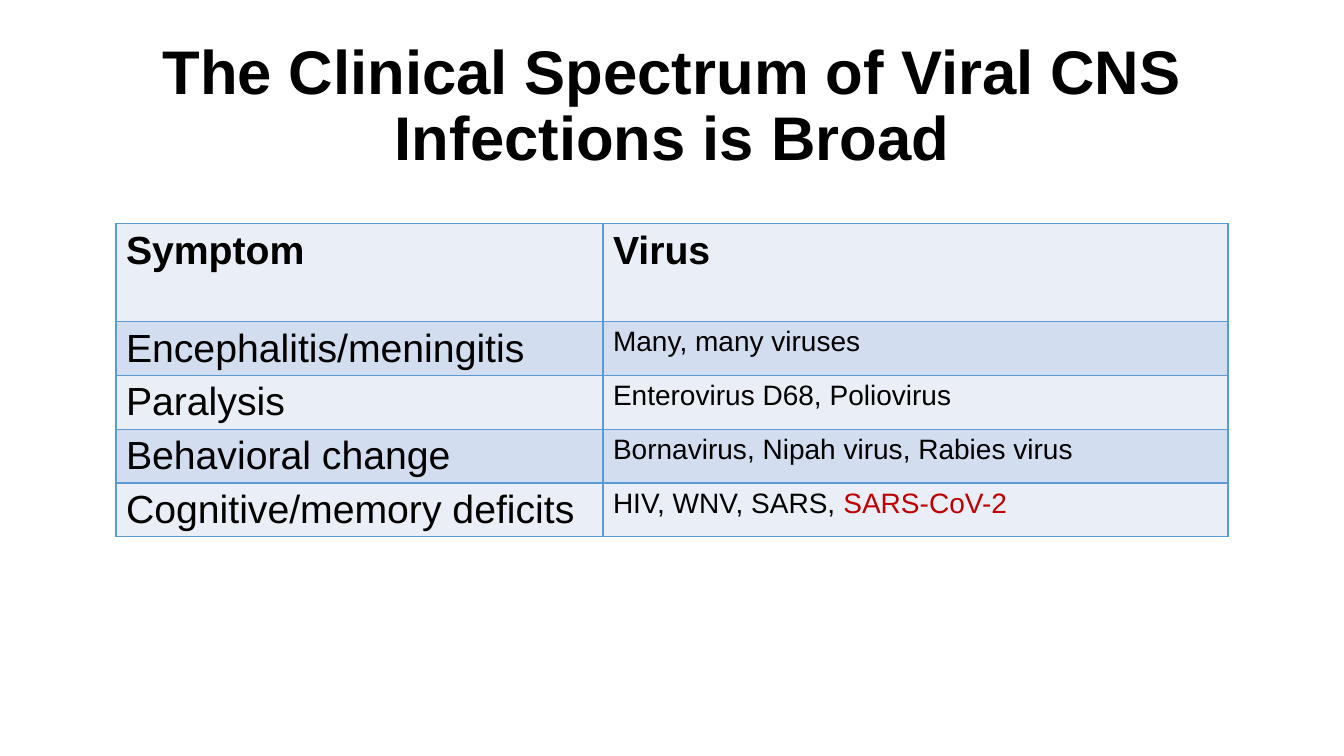
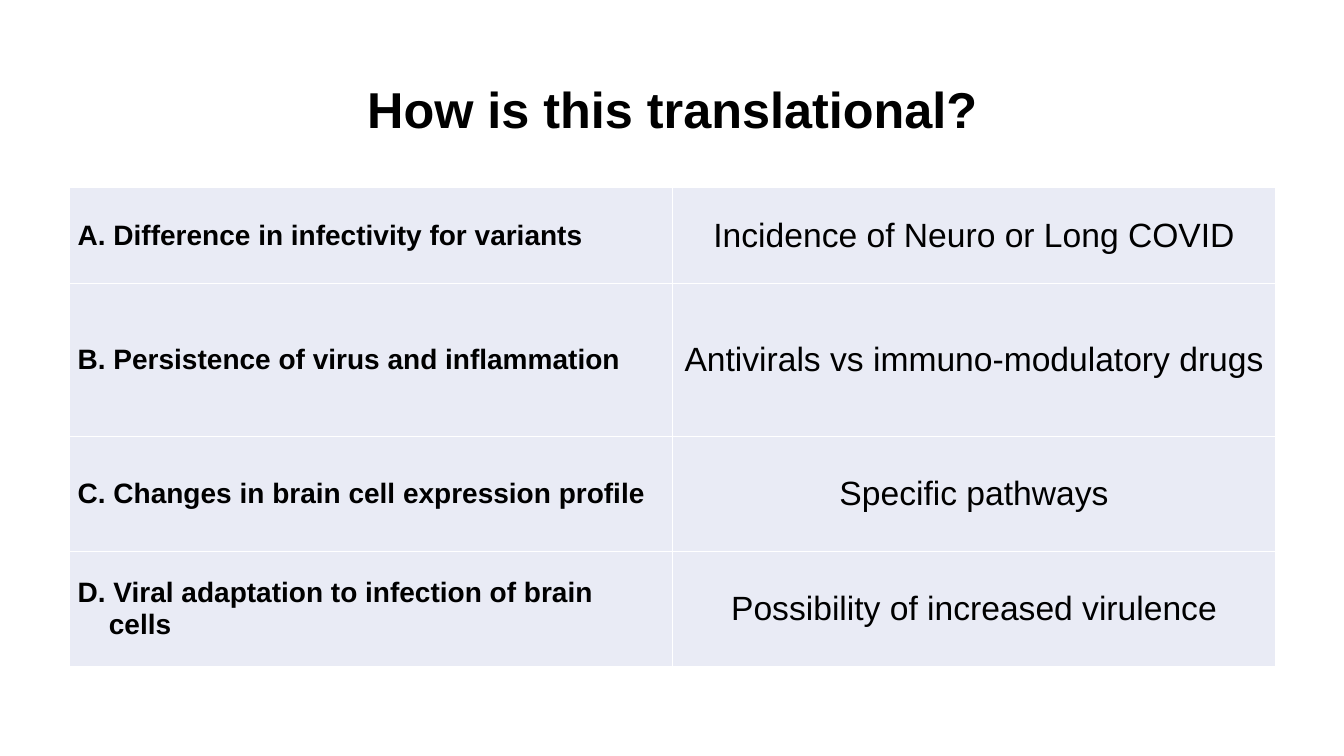
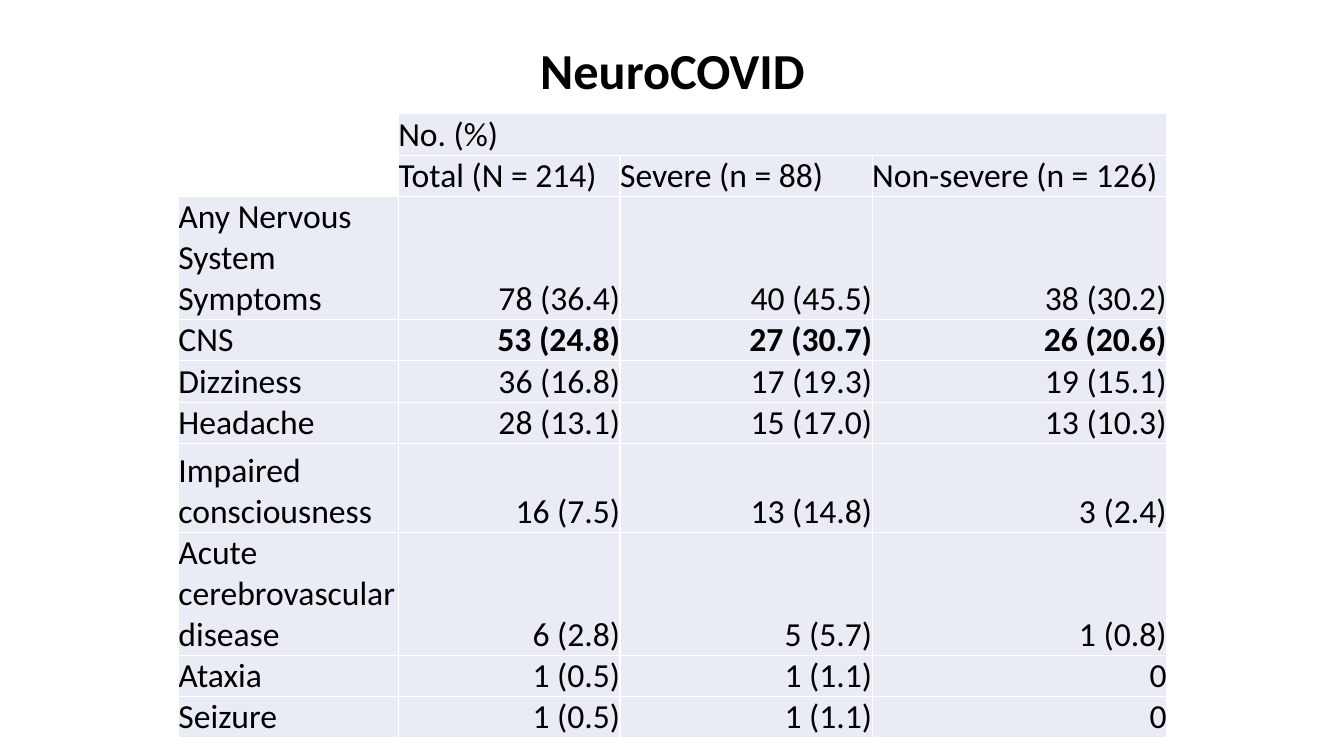
"""Build three slides of tables about viral infections of the nervous system."""
from dataclasses import dataclass
from functools import partial
from typing import Any

from lxml.etree import SubElement
from pptx import Presentation
from pptx.dml.color import RGBColor
from pptx.enum.text import MSO_ANCHOR as Anchor, MSO_AUTO_SIZE as AutoSize, PP_ALIGN as Align
from pptx.oxml.ns import qn
from pptx.util import Inches, Pt

COLORS = {
    "ink": "000000",
    "alert": "C00000",
    "blue line": "5B9BD5",
    "white line": "FFFFFF",
    "light blue": "EAEFF7",
    "mid blue": "D2DEEF",
    "lavender": "E9EBF5",
}
TITLE_LEFT, TITLE_WIDTH, TITLE_HEIGHT = 0.92, 11.5, 1.45
TITLE_FRAME = {"word_wrap": True, "auto_size": AutoSize.NONE, "vertical_anchor": Anchor.MIDDLE}
TITLE_PARAGRAPH = {"alignment": Align.CENTER, "line_spacing": 0.9}
PLAIN_TABLE = {"first_row": False, "horz_banding": False}
DEFAULT_MARGINS = (0.1, 0.05, 0.1, 0.05)
NO_MARGINS = (0, 0, 0, 0)
MARGIN_SIDES = ("left", "top", "right", "bottom")


@dataclass(frozen=True)
class Span:
    text: str
    color: str = "ink"


@dataclass(frozen=True)
class Line:
    spans: tuple[Span, ...]
    indent: float = 0


@dataclass(frozen=True)
class Entry:
    lines: tuple[Line, ...]
    size: int
    fill: str
    bold: bool = False
    align: Align = Align.LEFT
    anchor: Anchor = Anchor.TOP
    margins: tuple[float, ...] = DEFAULT_MARGINS
    columns: int = 1


@dataclass(frozen=True)
class TableSlide:
    title: str
    title_top: float
    title_size: int
    font: str
    left: float
    top: float
    widths: tuple[float, ...]
    heights: tuple[float, ...]
    border: str
    rows: list[list[Entry | None]]


def apply(target: Any, values: dict[str, Any]) -> None:
    for name, value in values.items():
        setattr(target, name, value)


def entry(text: str, **values: Any) -> Entry:
    return Entry((Line((Span(text),)),), **values)


def write_span(para: Any, span: Span, font: str, size: int, bold: bool) -> None:
    run = para.add_run()
    run.text = span.text
    apply(run.font, {"name": font, "size": Pt(size), "bold": bold})
    run.font.color.rgb = RGBColor.from_string(COLORS[span.color])


def draw_title(page: Any, content: TableSlide) -> None:
    box = page.shapes.title
    apply(box, {
        "left": Inches(TITLE_LEFT),
        "top": Inches(content.title_top),
        "width": Inches(TITLE_WIDTH),
        "height": Inches(TITLE_HEIGHT),
    })
    apply(box.text_frame, TITLE_FRAME)
    para = box.text_frame.paragraphs[0]
    apply(para, TITLE_PARAGRAPH)
    write_span(para, Span(content.title), content.font, content.title_size, True)


def draw_borders(cell: Any, color: str) -> None:
    properties = cell._tc.get_or_add_tcPr()
    for side in ("lnL", "lnR", "lnT", "lnB"):
        edge = SubElement(properties, qn(f"a:{side}"), w=str(Pt(1)))
        paint = SubElement(edge, qn("a:solidFill"))
        SubElement(paint, qn("a:srgbClr"), val=COLORS[color])


def fill_cell(cell: Any, content: Entry, font: str) -> None:
    cell.fill.solid()
    cell.fill.fore_color.rgb = RGBColor.from_string(COLORS[content.fill])
    cell.vertical_anchor = content.anchor
    apply(cell, {
        f"margin_{side}": Inches(margin) for side, margin in zip(MARGIN_SIDES, content.margins)
    })
    for number, line in enumerate(content.lines):
        frame = cell.text_frame
        para = frame.add_paragraph() if number else frame.paragraphs[0]
        para.alignment = content.align
        if line.indent:
            para._p.get_or_add_pPr().set("marL", str(Inches(line.indent)))
        for span in line.spans:
            write_span(para, span, font, content.size, content.bold)


def draw_table(page: Any, content: TableSlide) -> None:
    table = page.shapes.add_table(
        len(content.heights), len(content.widths),
        Inches(content.left), Inches(content.top),
        Inches(sum(content.widths)), Inches(sum(content.heights)),
    ).table
    apply(table, PLAIN_TABLE)
    for column, width in zip(table.columns, content.widths):
        column.width = Inches(width)
    for row, height in zip(table.rows, content.heights):
        row.height = Inches(height)
    for row_index, row in enumerate(content.rows):
        for column_index, item in enumerate(row):
            cell = table.cell(row_index, column_index)
            draw_borders(cell, content.border)
            if item is None:
                cell.fill.background()
                continue
            fill_cell(cell, item, content.font)
            if item.columns > 1:
                cell.merge(table.cell(row_index, column_index + item.columns - 1))


def spectrum_slide() -> TableSlide:
    header = partial(entry, size=28, bold=True, fill="light blue")
    viruses = [
        ("Encephalitis/meningitis", (Span("Many, many viruses"),)),
        ("Paralysis", (Span("Enterovirus D68, Poliovirus"),)),
        ("Behavioral change", (Span("Bornavirus, Nipah virus, Rabies virus"),)),
        ("Cognitive/memory deficits", (Span("HIV, WNV, SARS, "), Span("SARS-CoV-2", "alert"))),
    ]
    rows = [[header("Symptom"), header("Virus")]]
    for number, (symptom, spans) in enumerate(viruses):
        fill = "light blue" if number % 2 else "mid blue"
        rows.append([entry(symptom, size=28, fill=fill), Entry((Line(spans),), 20, fill)])
    return TableSlide(
        "The Clinical Spectrum of Viral CNS Infections is Broad", 0.34, 44, "Arial",
        1.15, 2.22, (4.83, 6.2), (0.97,) + (0.53,) * 4, "blue line", rows,
    )


def translational_slide() -> TableSlide:
    findings = [
        (("A. Difference in infectivity for variants",), "Incidence of Neuro or Long COVID"),
        (("B. Persistence of virus and inflammation",), "Antivirals vs immuno-modulatory drugs"),
        (("C. Changes in brain cell expression profile",), "Specific pathways"),
        (("D. Viral adaptation to infection of brain", "cells"), "Possibility of increased virulence"),
    ]
    shared = {"fill": "lavender", "anchor": Anchor.MIDDLE}
    rows = []
    for texts, meaning in findings:
        lines = tuple(Line((Span(text),), 0.31 if number else 0) for number, text in enumerate(texts))
        rows.append([
            Entry(lines, size=20, bold=True, margins=(0.08, 0, 0, 0), **shared),
            entry(meaning, size=24, align=Align.CENTER, margins=NO_MARGINS, **shared),
        ])
    return TableSlide(
        "How is this translational?", 0.39, 36, "Arial",
        0.69, 1.86, (5.98, 5.98), (0.95, 1.52, 1.14, 1.14), "white line", rows,
    )


def neuro_slide() -> TableSlide:
    label = partial(entry, size=24, fill="lavender", anchor=Anchor.BOTTOM, margins=NO_MARGINS)
    groups = ("Total (N = 214)", "Severe (n = 88)", "Non-severe (n = 126)")
    counts = [
        ("Any Nervous System Symptoms", "78 (36.4)", "40 (45.5)", "38 (30.2)"),
        ("CNS", "53 (24.8)", "27 (30.7)", "26 (20.6)"),
        ("Dizziness", "36 (16.8)", "17 (19.3)", "19 (15.1)"),
        ("Headache", "28 (13.1)", "15 (17.0)", "13 (10.3)"),
        ("Impaired consciousness", "16 (7.5)", "13 (14.8)", "3 (2.4)"),
        ("Acute cerebrovascular disease", "6 (2.8)", "5 (5.7)", "1 (0.8)"),
        ("Ataxia", "1 (0.5)", "1 (1.1)", "0"),
        ("Seizure", "1 (0.5)", "1 (1.1)", "0"),
    ]
    rows = [[None, label("No. (%)", columns=3), None, None], [None, *map(label, groups)]]
    for symptom, *values in counts:
        number = partial(label, align=Align.RIGHT, bold=symptom == "CNS")
        rows.append([label(symptom), *map(number, values)])
    single, triple = 0.41, 1.22
    heights = (single, single, triple, single, single, single, 0.88, triple, single, single)
    return TableSlide(
        "NeuroCOVID", 0, 36, "Calibri",
        1.77, 1.13, (2.18, 2.2, 2.5, 2.92), heights, "white line", rows,
    )


def main() -> None:
    deck = Presentation()
    apply(deck, {"slide_width": Inches(13.33), "slide_height": Inches(7.5)})
    title_only = deck.slide_layouts[5]
    for content in (spectrum_slide(), translational_slide(), neuro_slide()):
        page = deck.slides.add_slide(title_only)
        draw_title(page, content)
        draw_table(page, content)
    deck.save("out.pptx")


if __name__ == "__main__":
    main()
